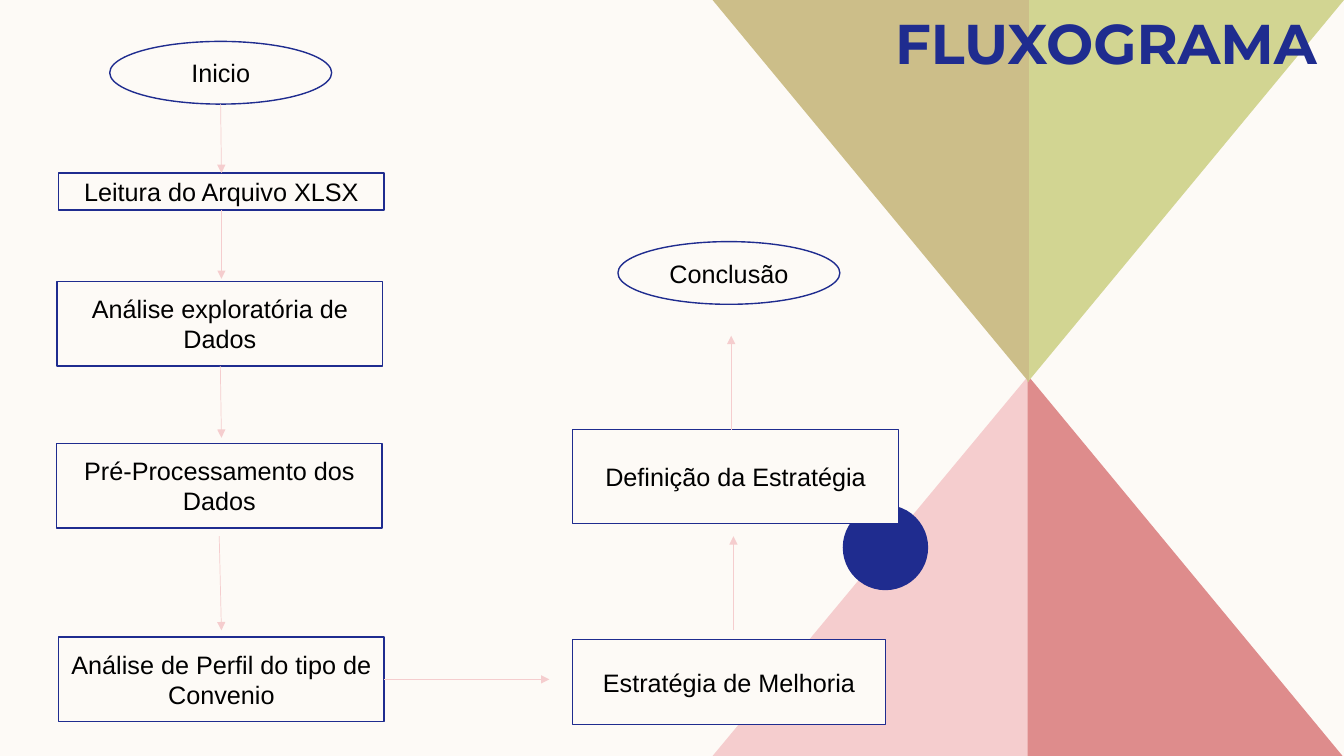
from lxml import etree
from pptx import Presentation
from pptx.dml.color import RGBColor
from pptx.enum.shapes import MSO_CONNECTOR, MSO_SHAPE
from pptx.enum.text import MSO_ANCHOR, PP_ALIGN
from pptx.oxml.ns import qn
from pptx.util import Pt

RECTANGLE = MSO_SHAPE.RECTANGLE
OVAL = MSO_SHAPE.OVAL
STRAIGHT = MSO_CONNECTOR.STRAIGHT
TOP = MSO_ANCHOR.TOP
MIDDLE = MSO_ANCHOR.MIDDLE
LEFT = PP_ALIGN.LEFT
CENTER = PP_ALIGN.CENTER

CREAM = "FDFAF6"
NAVY = "1F2C8F"
PINK = "F5CDCE"
BLACK = "000000"

TRIANGLES = [
    (PINK, [(735, 268), (509, 540), (735, 540)]),
    ("DE8C8C", [(733.7, 268), (959, 540), (733.7, 540)]),
    ("D2D592", [(733.7, 273), (960, 0), (733.7, 0)]),
    ("CCBE89", [(735, 273), (509, 0), (735, 0)]),
]

STEPS = [
    (OVAL, "Inicio", 78.4, 29.6, 158.5, 44.8),
    (RECTANGLE, "Leitura do Arquivo XLSX", 41.8, 123.6, 232.6, 26.6),
    (RECTANGLE, "Análise exploratória de Dados", 40.8, 201, 232.6, 60.6),
    (RECTANGLE, "Pré-Processamento dos Dados", 40.4, 316.7, 232.6, 60.6),
    (RECTANGLE, "Análise de Perfil do tipo de Convenio", 41.8, 455, 232.6, 60.6),
    (RECTANGLE, "Estratégia de Melhoria", 409, 457, 223.4, 60.6),
    (RECTANGLE, "Definição da Estratégia", 409, 307, 232.8, 66.8),
    (OVAL, "Conclusão", 441.4, 172.6, 158.5, 44.8),
]

ARROWS = [
    (157.6, 74.4, 158.2, 123.6),
    (158.2, 150.2, 158.2, 199.2),
    (157.4, 261.6, 158.2, 312.7),
    (156.6, 383, 158.2, 450.2),
    (274.4, 485.3, 392.4, 485.3),
    (523.9, 450.2, 523.9, 383),
    (522.3, 307, 522.3, 239.8),
]


def color(hex_string):
    return RGBColor.from_string(hex_string)


def paint(shape, fill, line=None):
    shape.shadow.inherit = False
    shape.fill.solid()
    shape.fill.fore_color.rgb = color(fill)
    if line:
        shape.line.color.rgb = color(line)
        shape.line.width = Pt(1)
    else:
        shape.line.fill.background()


def write(shape, text, font_name, size, hex_string, alignment, anchor, bold=False):
    frame = shape.text_frame
    frame.text = text
    frame.word_wrap = True
    frame.vertical_anchor = anchor
    paragraph = frame.paragraphs[0]
    paragraph.alignment = alignment
    font = paragraph.font
    font.name = font_name
    font.size = Pt(size)
    font.bold = bold
    font.color.rgb = color(hex_string)


def add_triangle(slide, fill, corners):
    builder = slide.shapes.build_freeform(*corners[0], scale=Pt(1))
    builder.add_line_segments(corners[1:], close=True)
    paint(builder.convert_to_shape(), fill)


def add_circle(slide, left, top, diameter):
    circle = slide.shapes.add_shape(OVAL, Pt(left), Pt(top), Pt(diameter), Pt(diameter))
    paint(circle, NAVY)


def place_title(slide, text, left, top, width, height):
    title = slide.shapes.title
    title.left, title.top = Pt(left), Pt(top)
    title.width, title.height = Pt(width), Pt(height)
    write(title, text, "Montserrat", 40, NAVY, LEFT, TOP, bold=True)
    title.element.getparent().append(title.element)


def add_step(slide, kind, text, left, top, width, height):
    step = slide.shapes.add_shape(kind, Pt(left), Pt(top), Pt(width), Pt(height))
    paint(step, CREAM, NAVY)
    write(step, text, "Arial", 18, BLACK, CENTER, MIDDLE)


def add_arrow(slide, *ends):
    arrow = slide.shapes.add_connector(STRAIGHT, *map(Pt, ends))
    arrow.line.color.rgb = color(PINK)
    arrow.line.width = Pt(0.5)
    properties = arrow.element.spPr
    etree.SubElement(properties.find(qn("a:ln")), qn("a:tailEnd"), type="triangle")
    etree.SubElement(properties, qn("a:effectLst"))


def main():
    presentation = Presentation()
    presentation.slide_width, presentation.slide_height = Pt(960), Pt(540)
    slide = presentation.slides.add_slide(presentation.slide_layouts[5])
    slide.background.fill.solid()
    slide.background.fill.fore_color.rgb = color(CREAM)
    for fill, corners in TRIANGLES:
        add_triangle(slide, fill, corners)
    add_circle(slide, 602, 360.6, 61)
    place_title(slide, "FLUXOGRAMA", 632.2, 2.2, 326.9, 60.5)
    for step in STEPS:
        add_step(slide, *step)
    for ends in ARROWS:
        add_arrow(slide, *ends)
    presentation.save("out.pptx")


if __name__ == "__main__":
    main()
